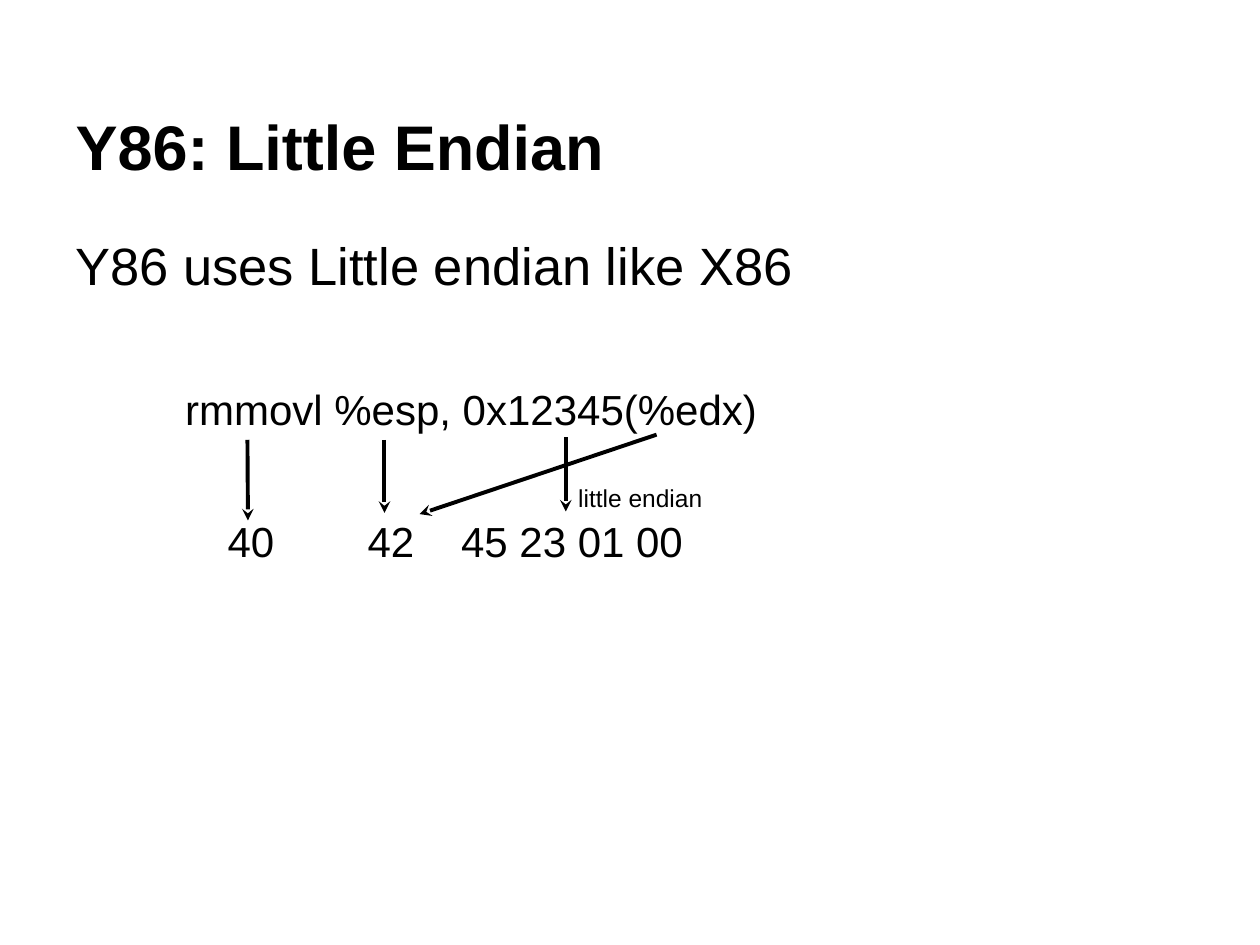
from lxml.etree import SubElement
from pptx import Presentation
from pptx.dml.color import RGBColor as Rgb
from pptx.enum.shapes import MSO_CONNECTOR as Link
from pptx.enum.text import MSO_ANCHOR as Anchor, MSO_AUTO_SIZE as Fit, PP_ALIGN as Align
from pptx.oxml.ns import qn
from pptx.util import Pt

COLORS = {"ink": "000000", "page": "FFFFFF"}
FONT = "Arial"
INSET = 7.2


def write(shape, text, size=24, bold=False, anchor=Anchor.TOP, stops=()):
    """Fill a shape with one left-aligned line, with tab stops in points."""
    frame = shape.text_frame
    frame.word_wrap = True
    frame.auto_size = Fit.NONE
    frame.vertical_anchor = anchor
    frame.margin_left = frame.margin_right = Pt(INSET)
    frame.margin_top = frame.margin_bottom = Pt(INSET)
    para = frame.paragraphs[0]
    para.alignment = Align.LEFT
    run = para.add_run()
    run.text = text
    font = run.font
    font.name, font.size, font.bold = FONT, Pt(size), bold
    font.color.rgb = Rgb.from_string(COLORS["ink"])
    if stops:
        tabs = SubElement(para._p.get_or_add_pPr(), qn("a:tabLst"))
        for stop in stops:
            SubElement(tabs, qn("a:tab"), pos=str(Pt(stop)), algn="l")


def add_text(slide, box, text, **style):
    write(slide.shapes.add_textbox(*map(Pt, box)), text, **style)


def add_arrow(slide, start, end):
    line = slide.shapes.add_connector(Link.STRAIGHT, *map(Pt, start + end))
    line.line.color.rgb = Rgb.from_string(COLORS["ink"])
    line.line.width = Pt(2.25)
    SubElement(line.line._get_or_add_ln(), qn("a:tailEnd"), type="stealth")
    SubElement(line._element.spPr, qn("a:effectLst"))


def add_title(slide, box, text):
    title = slide.shapes.title
    title.left, title.top, title.width, title.height = map(Pt, box)
    write(title, text, size=36, bold=True, anchor=Anchor.BOTTOM)


def add_code(slide, box):
    """Show an instruction, its encoded bytes and the arrows between them."""
    left, top, width, height = box
    add_text(slide, (left, top, width, 42.5), "rmmovl %esp, 0x12345(%edx)")
    add_text(slide, (left + 4.3, top + height - 48, width, 48),
             "\t40\t42\t45 23 01 00", stops=(20, 100, 153.4))
    arrows = [
        ((42.7, 39.6), (43, 85.7)),
        ((121, 39.6), (121, 81.4)),
        ((276.5, 36.7), (141.1, 82.1)),
        ((224.6, 38.2), (224.6, 80.6)),
    ]
    for ends in arrows:
        add_arrow(slide, *((left + x, top + y) for x, y in ends))
    add_text(slide, (left + 224.6, top + 56.9, 102.2, 25.2),
             "little endian", size=14)


def main():
    deck = Presentation()
    deck.slide_width, deck.slide_height = Pt(720), Pt(540)
    slide = deck.slides.add_slide(deck.slide_layouts.get_by_name("Title Only"))
    fill = slide.background.fill
    fill.solid()
    fill.fore_color.rgb = Rgb.from_string(COLORS["page"])
    add_title(slide, (36, 21.6, 648, 90), "Y86: Little Endian")
    add_text(slide, (36, 126, 648, 391), "Y86 uses Little endian like X86",
             size=30)
    add_code(slide, (98.7, 211.7, 468, 123.8))
    deck.save("out.pptx")


if __name__ == "__main__":
    main()
